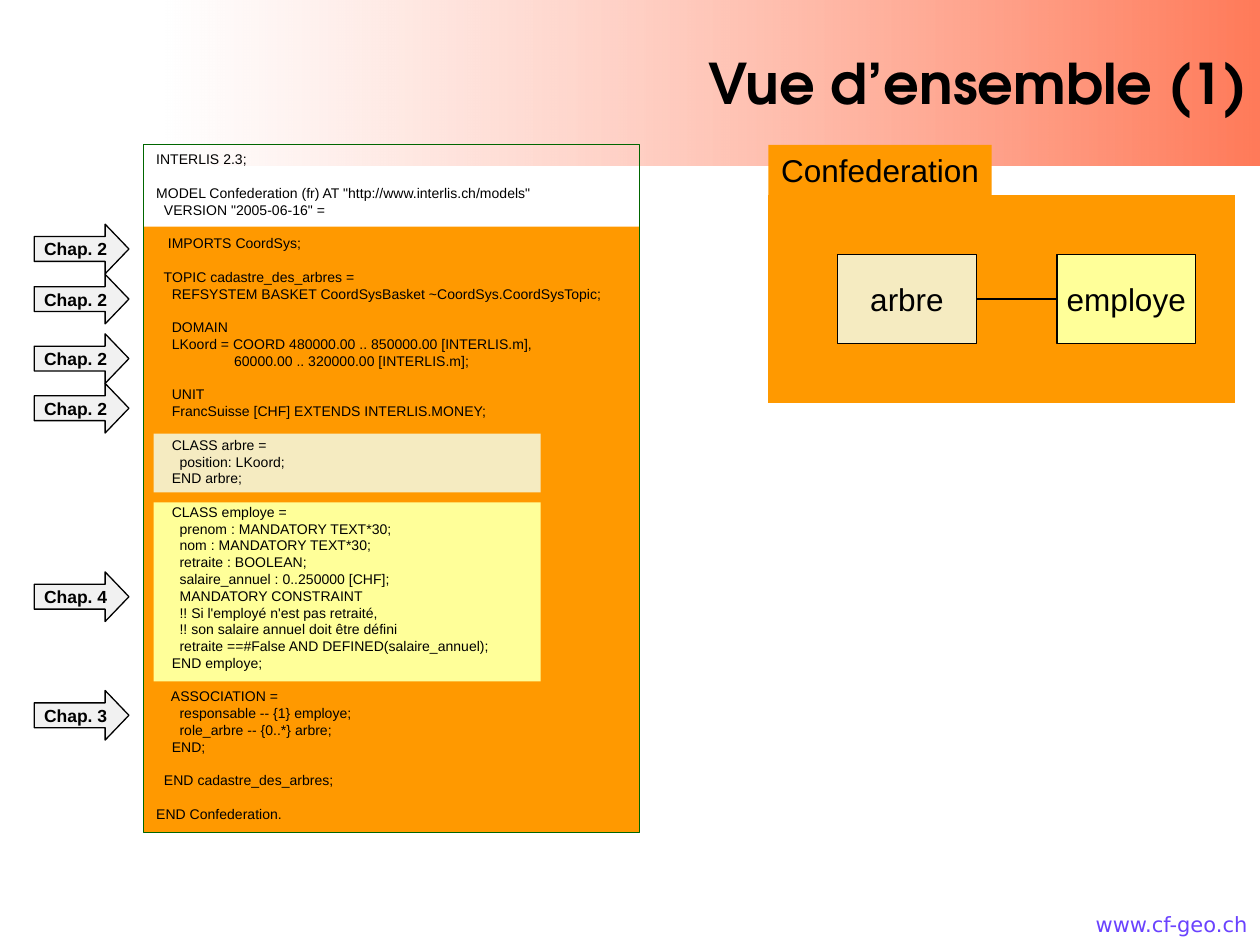
import lxml.etree
import pptx
import pptx.dml.color
import pptx.enum.shapes
import pptx.enum.text
import pptx.oxml.ns
import pptx.util

RGBColor = pptx.dml.color.RGBColor
Cm = pptx.util.Cm
Pt = pptx.util.Pt
MSO = pptx.enum.shapes.MSO_SHAPE
ALIGN = pptx.enum.text.PP_ALIGN
ANCHOR = pptx.enum.text.MSO_ANCHOR
qn = pptx.oxml.ns.qn

BLACK = RGBColor(0x00, 0x00, 0x00)
WHITE = RGBColor(0xFF, 0xFF, 0xFF)
RED = RGBColor(0xFF, 0x33, 0x00)
ORANGE = RGBColor(0xFF, 0x99, 0x00)
YELLOW = RGBColor(0xFF, 0xFF, 0x99)
BEIGE = RGBColor(0xF5, 0xEB, 0xC1)
GREY = RGBColor(0xF1, 0xF1, 0xF1)
GREEN = RGBColor(0x00, 0x66, 0x00)
VIOLET = RGBColor(0x6A, 0x42, 0xFE)

BLOCKS = [
    ["INTERLIS 2.3;"],
    ['MODEL Confederation (fr) AT "http://www.interlis.ch/models"',
     '  VERSION "2005-06-16" ='],
    ["   IMPORTS CoordSys;"],
    ["  TOPIC cadastre_des_arbres =",
     "    REFSYSTEM BASKET CoordSysBasket ~CoordSys.CoordSysTopic;"],
    ["    DOMAIN",
     "    LKoord = COORD 480000.00 .. 850000.00 [INTERLIS.m],",
     "                    60000.00 .. 320000.00 [INTERLIS.m];"],
    ["    UNIT",
     "    FrancSuisse [CHF] EXTENDS INTERLIS.MONEY;"],
    ["    CLASS arbre =",
     "      position: LKoord;",
     "    END arbre;"],
    ["    CLASS employe =",
     "      prenom : MANDATORY TEXT*30;",
     "      nom : MANDATORY TEXT*30;",
     "      retraite : BOOLEAN;",
     "      salaire_annuel : 0..250000 [CHF];",
     "      MANDATORY CONSTRAINT",
     "      !! Si l'employé n'est pas retraité,",
     "      !! son salaire annuel doit être défini",
     "      retraite ==#False AND DEFINED(salaire_annuel);",
     "    END employe;"],
    ["    ASSOCIATION =",
     "      responsable -- {1} employe;",
     "      role_arbre -- {0..*} arbre;",
     "    END;"],
    ["  END cadastre_des_arbres;"],
    ["END Confederation."],
]

MARKS = [(0, "Chap. 2"), (1.01, "Chap. 2"), (2.21, "Chap. 2"),
         (3.21, "Chap. 2"), (7.01, "Chap. 4"), (9.4, "Chap. 3")]


def add_box(slide, x, y, w, h, fill=None, line=None, kind=MSO.RECTANGLE):
    box = slide.shapes.add_shape(kind, Cm(x), Cm(y), Cm(w), Cm(h))
    box.shadow.inherit = False
    if fill is None:
        box.fill.background()
    else:
        box.fill.solid()
        box.fill.fore_color.rgb = fill
    if line is None:
        box.line.fill.background()
    else:
        box.line.color.rgb = line
        box.line.width = Pt(0.75)
    return box


def style(para, size, align, name="Arial", color=BLACK, bold=False):
    para.alignment = align
    for run in para.runs:
        run.font.size = Pt(size)
        run.font.name = name
        run.font.color.rgb = color
        run.font.bold = bold


def label(box, text, size, bold=False):
    frame = box.text_frame
    frame.word_wrap = False
    frame.vertical_anchor = ANCHOR.MIDDLE
    frame.text = text
    style(frame.paragraphs[0], size, ALIGN.CENTER, bold=bold)


def add_title(slide, x, y, w, h):
    band = add_box(slide, x, y, w, h)
    band.fill.gradient()
    band.fill.gradient_angle = 0
    for stop, color in zip(band.fill.gradient_stops, (WHITE, RED)):
        stop.color.rgb = color
    tones = list(band.element.spPr.iter(qn("a:srgbClr")))
    for tone, alpha in zip(tones, (46, 65)):
        lxml.etree.SubElement(tone, qn("a:alpha")).set("val", str(alpha * 1000))
    frame = band.text_frame
    frame.word_wrap = True
    frame.vertical_anchor = ANCHOR.MIDDLE
    frame.text = "Vue d’ensemble (1)"
    style(frame.paragraphs[0], 32, ALIGN.RIGHT, "TeX Gyre Adventor", bold=True)


def add_model(slide, x, y, w, h):
    tab = 1.02
    wide, high, top = 2.79, 1.8, y + 2.21
    add_box(slide, x, y + tab, w, h - tab, ORANGE, kind=MSO.FLOWCHART_PROCESS)
    label(add_box(slide, x, y, 4.5, tab, ORANGE), "Confederation", 18)
    left, right = x + 1.4, x + 5.82
    for side, fill, name in ((left, BEIGE, "arbre"), (right, YELLOW, "employe")):
        label(add_box(slide, side, top, wide, high, fill, BLACK), name, 18)
    mid = top + high / 2
    link = slide.shapes.add_connector(
        pptx.enum.shapes.MSO_CONNECTOR.STRAIGHT,
        Cm(left + wide), Cm(mid), Cm(right), Cm(mid))
    link.line.color.rgb = BLACK
    link.line.width = Pt(0.75)
    lxml.etree.SubElement(link.element.spPr, qn("a:effectLst"))


def add_code(slide, x, y, w, h):
    add_box(slide, x, y + 1.65, w, h - 1.65, ORANGE)
    add_box(slide, x + 0.2, y + 5.82, 7.8, 1.19, BEIGE)
    add_box(slide, x + 0.2, y + 7.21, 7.8, 3.61, YELLOW)
    frame = add_box(slide, x, y, w, h, line=GREEN).text_frame
    frame.word_wrap = True
    frame.vertical_anchor = ANCHOR.TOP
    frame.text = "\n".join("\n".join(block) for block in BLOCKS)
    for para in frame.paragraphs:
        style(para, 8, ALIGN.LEFT)
    start = 0
    for block in BLOCKS[:-1]:
        start += len(block)
        frame.paragraphs[start].space_before = Pt(9.6)


def add_marks(slide, x, y, w, h):
    for drop, text in MARKS:
        arrow = add_box(slide, x, y + drop, w, h, GREY, BLACK, MSO.RIGHT_ARROW)
        arrow.adjustments[0] = 0.5
        arrow.adjustments[1] = 0.48
        label(arrow, text, 10, True)


def add_foot(slide, x, y, w, h):
    frame = slide.shapes.add_textbox(Cm(x), Cm(y), Cm(w), Cm(h)).text_frame
    frame.word_wrap = True
    frame.text = "www.cf-geo.ch"
    style(frame.paragraphs[0], 12, ALIGN.RIGHT, "DejaVu Sans", VIOLET)


def main():
    deck = pptx.Presentation()
    deck.slide_width = Cm(25.4)
    deck.slide_height = Cm(19.05)
    slide = deck.slides.add_slide(deck.slide_layouts[6])
    add_foot(slide, 21.1, 18.26, 4.3, 1.27)
    add_title(slide, 3.33, 0, 22.07, 3.33)
    add_model(slide, 15.49, 2.92, 9.4, 5.21)
    add_code(slide, 2.9, 2.92, 10, 13.86)
    add_marks(slide, 0.69, 4.52, 1.91, 1)
    deck.save("out.pptx")


if __name__ == "__main__":
    main()
